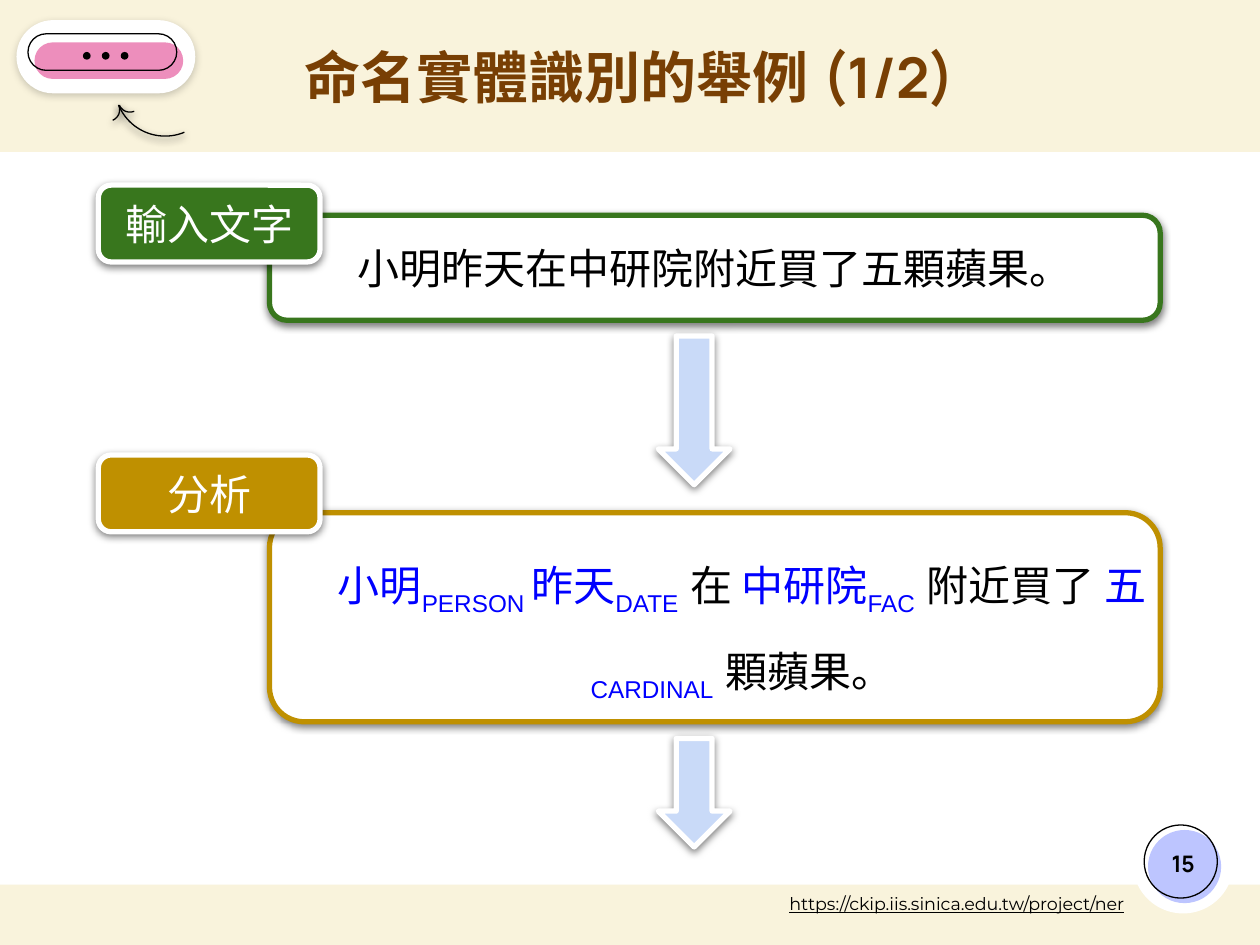
import pptx
import pptx.dml.color
import pptx.enum.shapes
import pptx.enum.text
import pptx.oxml.ns
import pptx.util
from lxml import etree

Pt = pptx.util.Pt
RGBColor = pptx.dml.color.RGBColor
Shape = pptx.enum.shapes.MSO_SHAPE
Align = pptx.enum.text.PP_ALIGN
qn = pptx.oxml.ns.qn

CREAM = RGBColor(0xF9, 0xF3, 0xDC)
WHITE = RGBColor(0xFF, 0xFF, 0xFF)
BLACK = RGBColor(0x00, 0x00, 0x00)
LILAC = RGBColor(0xBD, 0xC5, 0xFF)
PINK = RGBColor(0xED, 0x8E, 0xBC)
BROWN = RGBColor(0x78, 0x3F, 0x04)
GREEN = RGBColor(0x38, 0x76, 0x1D)
GOLD = RGBColor(0xBF, 0x90, 0x00)
SKY = RGBColor(0xC9, 0xDA, 0xF8)
BLUE = RGBColor(0x00, 0x00, 0xFF)

TITLE_FONT = {"name": "Manrope", "size": Pt(32), "bold": True}
NUMBER_FONT = {"name": "Manrope", "size": Pt(13), "bold": True}
LINK_FONT = {"name": "Montserrat", "size": Pt(10), "underline": True}
TEXT_FONT = {"name": "Arial", "size": Pt(24)}
SPACED = {"line_spacing": 1.5, "space_after": Pt(10)}


def set_all(target, values):
    for name, value in values.items():
        setattr(target, name, value)


class SlideWriter:
    """Keeps the shared style and the slide being drawn; lengths are in points."""

    def __init__(self, page):
        self.page = page
        self.thin = 0.75
        self.thick = 3

    def background(self, color):
        fill = self.page.background.fill
        fill.solid()
        fill.fore_color.rgb = color

    def shape(self, kind, place, fill=None, line=None, width=None, shadow=0, corner=None):
        """Draw a preset shape; shadow is its opacity in percent."""
        shape = self.page.shapes.add_shape(kind, *map(Pt, place))
        shape.shadow.inherit = False
        if fill is None:
            shape.fill.background()
        else:
            shape.fill.solid()
            shape.fill.fore_color.rgb = fill
        if line is None:
            shape.line.fill.background()
        else:
            shape.line.color.rgb = line
            shape.line.width = Pt(width or self.thin)
        if corner is not None:
            shape.adjustments[0] = corner
        if shadow:
            self.cast_shadow(shape, shadow)
        return shape

    def cast_shadow(self, shape, opacity):
        effects = shape._element.spPr.find(qn("a:effectLst"))
        outer = etree.SubElement(effects, qn("a:outerShdw"), blurRad=str(Pt(4.5)),
                                 dist=str(Pt(1.5)), dir="5400000", algn="bl", rotWithShape="0")
        color = etree.SubElement(outer, qn("a:srgbClr"), val="000000")
        etree.SubElement(color, qn("a:alpha"), val=str(opacity * 1000))

    def set_text(self, box, spans, font, align=Align.CENTER, insets=(0, 7.2, 0, 7.2),
                 spacing=None):
        """Fill a box with one paragraph of (text, color, is_subscript) spans."""
        frame = box.text_frame
        sides = ("margin_left", "margin_top", "margin_right", "margin_bottom")
        set_all(frame, dict(zip(sides, map(Pt, insets))))
        set_all(frame, {"word_wrap": True,
                        "auto_size": pptx.enum.text.MSO_AUTO_SIZE.NONE,
                        "vertical_anchor": pptx.enum.text.MSO_ANCHOR.MIDDLE})
        para = frame.paragraphs[0]
        set_all(para, {"alignment": align, "space_before": Pt(0), **(spacing or {})})
        for text, color, is_subscript in spans:
            span = para.add_run()
            span.text = text
            set_all(span.font, font)
            span.font.color.rgb = color
            if is_subscript:
                span._r.get_or_add_rPr().set("baseline", "-25000")
        return para

    def text(self, place, text, color, font, insets):
        box = self.page.shapes.add_textbox(*map(Pt, place))
        self.set_text(box, [(text, color, False)], font, insets=insets)

    def placeholder(self, box, place, text, color, font, align, insets):
        set_all(box, dict(zip(("left", "top", "width", "height"), map(Pt, place))))
        para = self.set_text(box, [(text, color, False)], font, align, insets)
        properties = para._p.get_or_add_pPr()
        properties.set("marL", "0")
        properties.set("indent", "0")
        etree.SubElement(properties, qn("a:buNone"))

    def arc(self, left, top, size, flipped=False):
        arc = self.shape(Shape.ARC, (left, top, size, size), line=BLACK, shadow=68)
        arc.rotation = 157.5
        if flipped:
            arc._element.spPr.find(qn("a:xfrm")).set("flipH", "1")

    def panel(self, top, height, color, spans, indent=0, spacing=None):
        box = self.shape(Shape.ROUNDED_RECTANGLE, (154, top, 509, height), WHITE, color,
                         self.thick, shadow=50, corner=0.167)
        self.set_text(box, spans, TEXT_FONT, insets=(indent, 7.2, 0, 7.2), spacing=spacing)

    def label(self, top, color, text):
        box = self.shape(Shape.ROUNDED_RECTANGLE, (56.2, top, 126.7, 43.9), color, WHITE,
                         self.thick, shadow=50, corner=0.167)
        self.set_text(box, [(text, WHITE, False)], TEXT_FONT)

    def down_arrow(self, top, length):
        """Draw a left arrow turned to point down, its tail at top."""
        center, breadth = 396.7, 41
        place = (center - length / 2, top + (length - breadth) / 2, length, breadth)
        arrow = self.shape(Shape.LEFT_ARROW, place, SKY, WHITE, self.thick, shadow=50)
        arrow.rotation = 270


def draw_frame(writer):
    writer.background(CREAM)
    writer.shape(Shape.RECTANGLE, (0, 87, 720, 418.5), WHITE)
    writer.shape(Shape.OVAL, (647.3, 464.4, 57.6, 57.6), WHITE)
    writer.shape(Shape.OVAL, (656, 474.3, 41.8, 41.8), LILAC)
    writer.shape(Shape.OVAL, (653.8, 471.4, 41.8, 41.8), line=BLACK)


def draw_button(writer):
    writer.arc(65.5, 20.2, 57.6)
    writer.arc(67.7, 51.1, 13)
    writer.arc(55.4, 56.2, 13, flipped=True)
    pill = Shape.ROUNDED_RECTANGLE
    writer.shape(pill, (9.4, 11.5, 102.2, 41.8), WHITE, shadow=19, corner=0.5)
    writer.shape(pill, (19.7, 24.2, 85, 20.9), PINK, corner=0.5)
    writer.shape(pill, (16, 19.3, 85, 20.9), line=BLACK, corner=0.5)
    for index in range(3):
        writer.shape(Shape.OVAL, (47.4 + 10.8 * index, 29.7, 4.4, 4.4), BLACK)


def main():
    deck = pptx.Presentation()
    deck.slide_width, deck.slide_height = Pt(720), Pt(540)
    page = deck.slides.add_slide(deck.slide_layouts[1])
    writer = SlideWriter(page)

    draw_frame(writer)
    draw_button(writer)
    writer.placeholder(page.shapes.title, (111.6, 11.5, 496.8, 70.6), "命名實體識別的舉例 (1/2)",
                       BROWN, TITLE_FONT, Align.CENTER, (7.2, 0, 7.2, 7.2))
    writer.text((654.5, 473, 43.2, 41), "15", BLACK, NUMBER_FONT, (7.2,) * 4)
    writer.placeholder(page.placeholders[1], (148.3, 506.2, 494, 20.2),
                       "https://ckip.iis.sinica.edu.tw/project/ner",
                       BLACK, LINK_FONT, Align.RIGHT, (0,) * 4)

    writer.panel(123, 60, GREEN, [("小明昨天在中研院附近買了五顆蘋果。", BLACK, False)])
    tagged = [
        ("小明", BLUE, False), ("PERSON ", BLUE, True),
        ("昨天", BLUE, False), ("DATE", BLUE, True), (" 在 ", BLACK, False),
        ("中研院", BLUE, False), ("FAC", BLUE, True), (" 附近買了 ", BLACK, False),
        ("五", BLUE, False), ("CARDINAL", BLUE, True), (" 顆蘋果。", BLACK, False),
    ]
    writer.panel(293, 119.5, GOLD, tagged, indent=31, spacing=SPACED)
    writer.down_arrow(192, 85)
    writer.down_arrow(422, 62)
    writer.label(260, GOLD, "分析")
    writer.label(105.8, GREEN, "輸入文字")

    deck.save("out.pptx")


if __name__ == "__main__":
    main()
